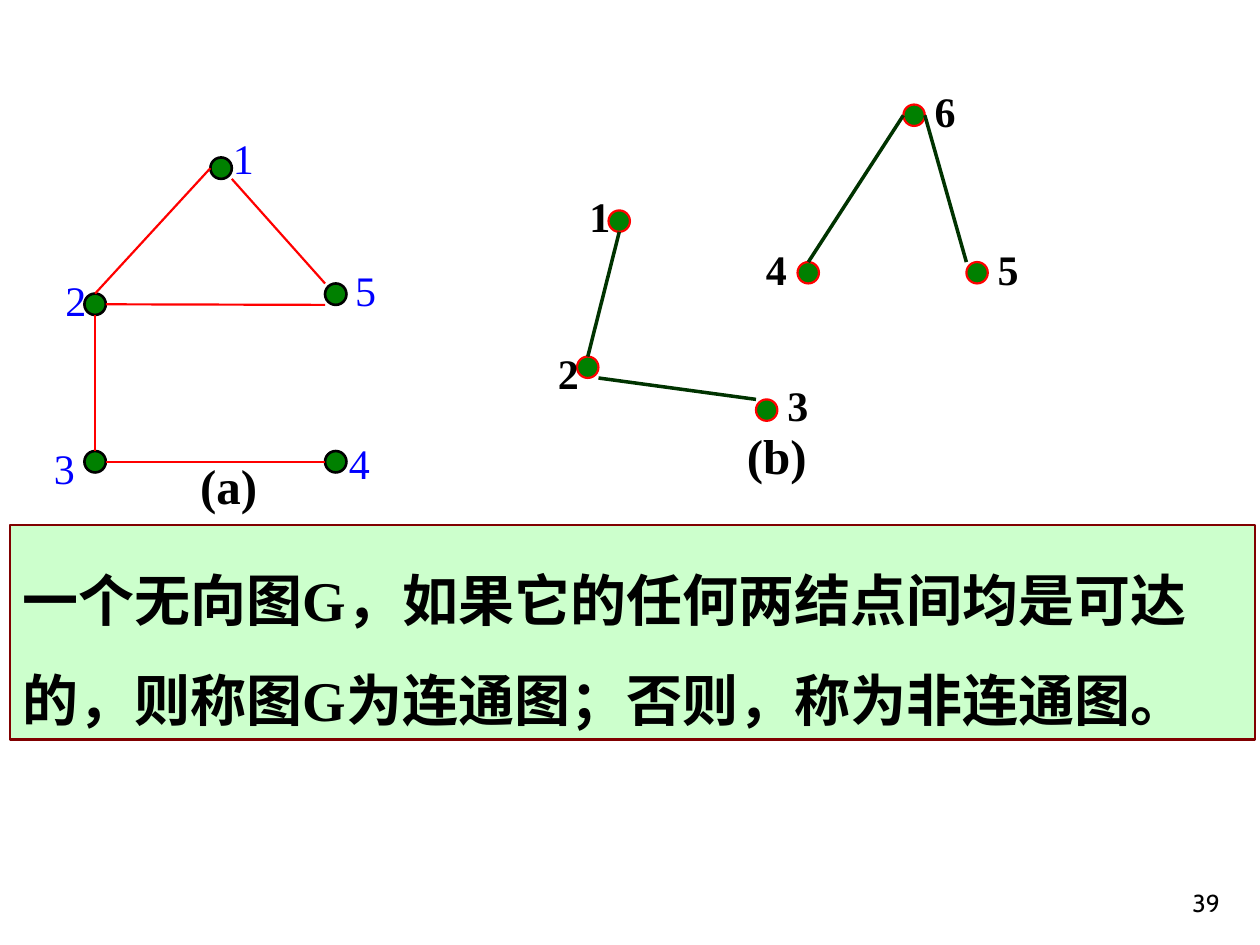
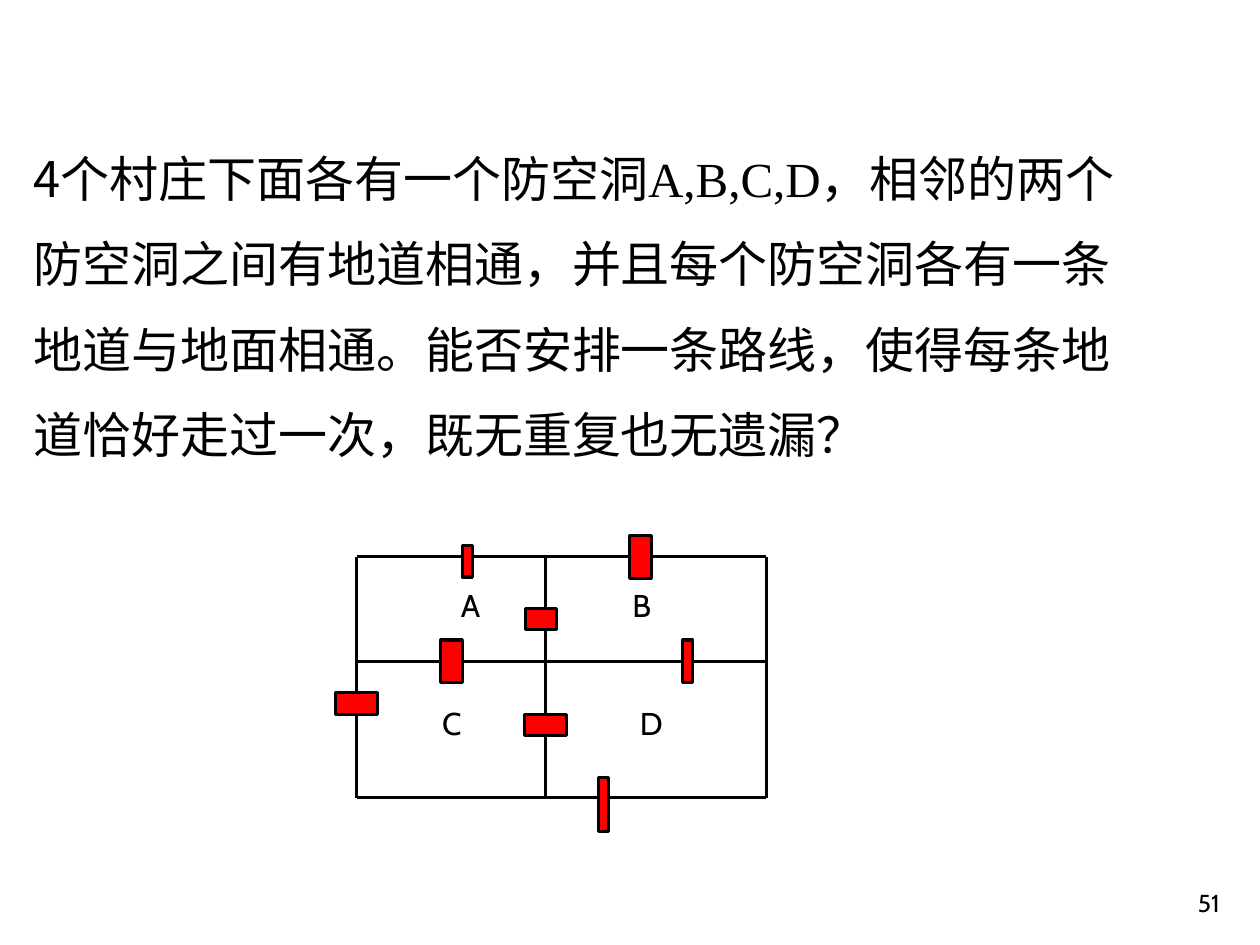
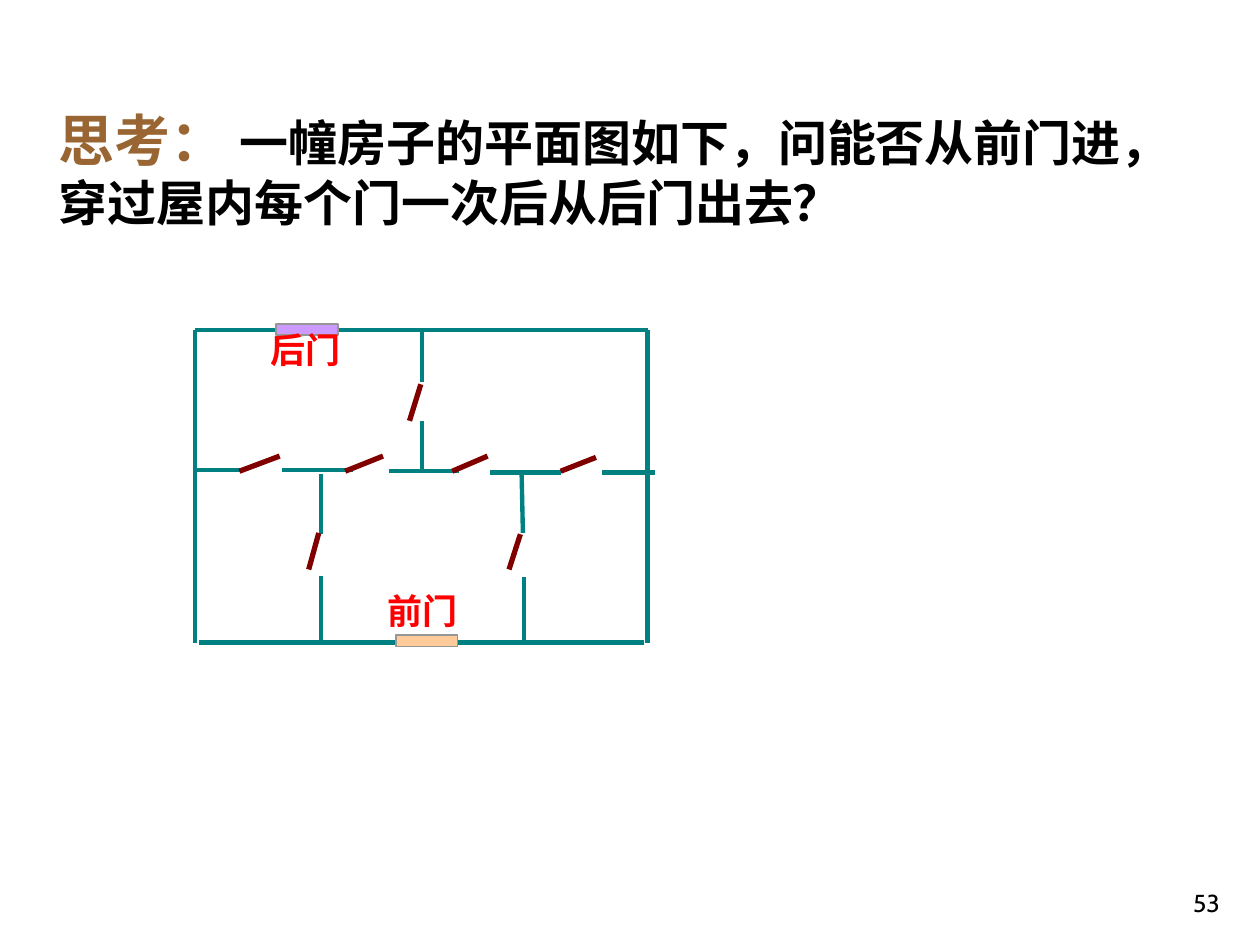
from dataclasses import dataclass

from lxml import etree
from pptx import Presentation
from pptx.dml.color import RGBColor
from pptx.enum.shapes import MSO_CONNECTOR as Connector, MSO_SHAPE as Preset
from pptx.enum.text import MSO_ANCHOR as Anchor, MSO_AUTO_SIZE as AutoSize, PP_ALIGN as Align
from pptx.oxml.ns import qn
from pptx.util import Inches, Pt


@dataclass(frozen=True)
class Theme:
    black: str = "000000"
    red: str = "FF0000"
    blue: str = "0000FF"
    green: str = "008000"
    dark_green: str = "003300"
    pale_green: str = "CCFFCC"
    maroon: str = "800000"
    teal: str = "008080"
    brown: str = "996633"
    gray: str = "969696"
    peach: str = "FFCC99"
    lilac: str = "CC99FF"
    chinese: str = "Noto Sans CJK SC"
    serif: str = "Times New Roman"
    sans: str = "Cabin"
    headline: int = 32
    body: int = 28
    node: int = 24
    door: int = 20
    room: int = 18
    footer: int = 14


THEME = Theme()


@dataclass(frozen=True)
class Style:
    size: int
    font: str
    color: str = THEME.black
    bold: bool = False


@dataclass(frozen=True)
class Box:
    left: float
    top: float
    width: float
    height: float

    def inner(self, left, top, width, height):
        return Box(self.left + left, self.top + top, width, height)

    def point(self, x, y):
        return self.left + x, self.top + y

    def lengths(self):
        return [Inches(value) for value in (self.left, self.top, self.width, self.height)]


@dataclass(frozen=True)
class GraphLook:
    outline: str
    outline_width: float
    edge: str
    edge_width: float
    label: Style


NODE_SIZE = 0.17
ANCHORS = {
    "top": (0.5, 0), "left": (0, 0.5), "bottom": (0.5, 1), "right": (1, 0.5),
    "top left": (0, 0), "bottom left": (0, 1), "bottom right": (1, 1),
}
SIDES = ["top", "left", "bottom", "right"]


def write(shape, paragraphs, wrap=True, spacing=None, align=Align.LEFT, anchor=Anchor.TOP, grow=True):
    frame = shape.text_frame
    frame.word_wrap = wrap
    frame.auto_size = AutoSize.SHAPE_TO_FIT_TEXT if grow else AutoSize.NONE
    frame.vertical_anchor = anchor
    for index, runs in enumerate(paragraphs):
        paragraph = frame.add_paragraph() if index else frame.paragraphs[0]
        paragraph.alignment = align
        paragraph.line_spacing = spacing
        for text, style in runs:
            run = paragraph.add_run()
            run.text = text
            run.font.size = Pt(style.size)
            run.font.bold = style.bold
            run.font.color.rgb = RGBColor.from_string(style.color)
            run.font.name = style.font
            if style.font == THEME.chinese:
                properties = run.font._element
                etree.SubElement(properties, qn("a:ea")).set("typeface", style.font)


def add_text(shapes, box, paragraphs, **options):
    write(shapes.add_textbox(*box.lengths()), paragraphs, **options)


def add_label(shapes, box, text, style, **options):
    add_text(shapes, box, [[(text, style)]], **options)


def add_block(shapes, preset, box, fill, outline, width):
    shape = shapes.add_shape(preset, *box.lengths())
    shape.shadow.inherit = False
    shape.fill.solid()
    shape.fill.fore_color.rgb = RGBColor.from_string(fill)
    shape.line.color.rgb = RGBColor.from_string(outline)
    shape.line.width = Pt(width)
    return shape


def add_line(shapes, start, end, color, width):
    ends = [Inches(value) for value in (*start, *end)]
    line = shapes.add_connector(Connector.STRAIGHT, *ends)
    line.line.color.rgb = RGBColor.from_string(color)
    line.line.width = Pt(width)
    etree.SubElement(line._element.spPr, qn("a:effectLst"))
    return line


def join_at_sides(line, shape):
    for site, side in enumerate(SIDES):
        across, down = ANCHORS[side]
        x, y = shape.left + across * shape.width, shape.top + down * shape.height
        for end_x, end_y, connect in (
            (line.begin_x, line.begin_y, line.begin_connect),
            (line.end_x, line.end_y, line.end_connect),
        ):
            if max(abs(end_x - x), abs(end_y - y)) < Inches(0.01):
                connect(shape, site)


def add_page_number(slide, number):
    add_label(slide.shapes, Box(7.7, 6.83, 2.08, 0.5), str(number), Style(THEME.footer, THEME.sans),
              align=Align.RIGHT, anchor=Anchor.BOTTOM, grow=False)


def draw_graph(shapes, box, look, nodes, edges, caption, caption_at):
    spots = {}
    for name, (node_at, label_at) in nodes.items():
        spots[name] = box.inner(*node_at, NODE_SIZE, NODE_SIZE)
        add_block(shapes, Preset.OVAL, spots[name], THEME.green, look.outline, look.outline_width)
        add_label(shapes, box.inner(*label_at, 0.37, 0.5), name, look.label, wrap=False)
    for *pair, start_side, end_side in edges:
        start, end = [
            spots[name].point(*[NODE_SIZE * share for share in ANCHORS[side]])
            for name, side in zip(pair, (start_side, end_side))
        ]
        add_line(shapes, start, end, look.edge, look.edge_width)
    add_label(shapes, box.inner(*caption_at, 0.7, 0.57), caption,
              Style(THEME.body, THEME.serif, bold=True), wrap=False)


def draw_definition(shapes, box):
    chinese = Style(THEME.headline, THEME.chinese, bold=True)
    letter = Style(THEME.headline, THEME.serif, bold=True)
    panel = add_block(shapes, Preset.RECTANGLE, box, THEME.pale_green, THEME.maroon, 1.25)
    write(panel, [
        [("一个无向图", chinese), ("G", letter), ("，如果它的任何两结点间均是可达", chinese)],
        [("的，则称图", chinese), ("G", letter), ("为连通图；否则，称为非连通图。", chinese)],
    ], wrap=False, spacing=1.5)


def build_connectivity_slide(slide):
    draw_definition(slide.shapes, Box(0.08, 4.17, 9.88, 1.7))
    draw_graph(
        slide.shapes, Box(0.33, 1, 2.7, 3.14),
        GraphLook(THEME.black, 1.5, THEME.red, 1.25, Style(THEME.node, THEME.serif, THEME.blue)),
        {
            "1": ((1.34, 0.25), (1.42, 0)),
            "2": ((0.34, 1.33), (0.09, 1.13)),
            "3": ((0.34, 2.58), (0, 2.46)),
            "4": ((2.25, 2.58), (2.34, 2.42)),
            "5": ((2.25, 1.25), (2.39, 1.05)),
        },
        [
            ("1", "2", "left", "top"),
            ("2", "5", "right", "bottom left"),
            ("2", "3", "bottom", "top"),
            ("3", "4", "right", "left"),
            ("1", "5", "bottom right", "top left"),
        ],
        "(a)", (1.16, 2.57),
    )
    draw_graph(
        slide.shapes, Box(4.33, 0.63, 3.85, 3.27),
        GraphLook(THEME.red, 1.25, THEME.dark_green, 2, Style(THEME.node, THEME.serif, bold=True)),
        {
            "1": ((0.5, 1.04), (0.25, 0.83)),
            "2": ((0.25, 2.2), (0, 2.08)),
            "3": ((1.67, 2.54), (1.82, 2.33)),
            "4": ((2, 1.45), (1.65, 1.25)),
            "5": ((3.34, 1.45), (3.49, 1.25)),
            "6": ((2.84, 0.2), (2.99, 0)),
        },
        [
            ("2", "1", "top", "bottom"),
            ("2", "3", "bottom right", "top left"),
            ("4", "6", "top", "left"),
            ("6", "5", "right", "top left"),
        ],
        "(b)", (1.5, 2.7),
    )


def draw_shelters(shapes, box):
    right, bottom = box.width, box.height
    middle_x, middle_y = 1.5, 0.83
    walls = [
        ((0, 0), (0.84, 0)), ((0.92, 0), (2.17, 0)), ((2.34, 0), (right, 0)),
        ((0, 0), (0, 1.08)), ((0, 1.25), (0, bottom)),
        ((0, bottom), (right, bottom)), ((right, 0), (right, bottom)),
        ((middle_x, 0), (middle_x, 0.41)), ((middle_x, 0.58), (middle_x, 1.25)),
        ((middle_x, 1.42), (middle_x, bottom)),
        ((0, middle_y), (0.67, middle_y)), ((0.84, middle_y), (2.59, middle_y)),
        ((2.67, middle_y), (right, middle_y)),
    ]
    tunnels = [
        (0.84, -0.09, 0.08, 0.25), (2.17, -0.17, 0.17, 0.34),
        (0.67, 0.66, 0.17, 0.34), (1.34, 0.41, 0.25, 0.17),
        (2.59, 0.66, 0.08, 0.34), (1.92, 1.75, 0.08, 0.43),
        (-0.17, 1.08, 0.34, 0.17), (1.33, 1.25, 0.34, 0.17),
    ]
    rooms = {"A": (0.73, 0.18), "B": (2.09, 0.18), "C": (0.58, 1.12), "D": (2.15, 1.12)}
    lines = [add_line(shapes, box.point(*start), box.point(*end), THEME.black, 1.75)
             for start, end in walls]
    for tunnel in tunnels:
        gate = add_block(shapes, Preset.RECTANGLE, box.inner(*tunnel), THEME.red, THEME.black, 1.75)
        for line in lines:
            join_at_sides(line, gate)
    for name, place in rooms.items():
        add_label(shapes, box.inner(*place, 0.38, 0.4), name, Style(THEME.room, THEME.sans), wrap=False)


def build_shelter_slide(slide):
    chinese = Style(THEME.body, THEME.chinese)
    add_text(slide.shapes, Box(0.17, 0.92, 9.42, 2.81), [
        [("4个村庄下面各有一个防空洞", chinese), ("A,B,C,D", Style(THEME.body, THEME.serif)),
         ("，相邻的两个", chinese)],
        [("防空洞之间有地道相通，并且每个防空洞各有一条", chinese)],
        [("地道与地面相通。能否安排一条路线，使得每条地", chinese)],
        [("道恰好走过一次，既无重复也无遗漏？", chinese)],
    ], spacing=1.45)
    draw_shelters(slide.shapes, Box(2.83, 4.42, 3.25, 1.91))


def draw_house(shapes, box):
    right, bottom = box.width, box.height
    walls = [
        ((0, 0), (right, 0)), ((right, 0), (right, bottom)), ((0, 0), (0, bottom)),
        ((0.03, bottom), (right - 0.03, bottom)),
        ((1.8, 0), (1.8, 0.41)), ((1.8, 0.72), (1.8, 1.13)),
        ((0.01, 1.11), (0.36, 1.11)), ((0.69, 1.11), (1.25, 1.11)),
        ((1.54, 1.12), (2.09, 1.12)), ((2.34, 1.13), (2.9, 1.13)), ((3.23, 1.13), (3.65, 1.13)),
        ((1, 1.14), (1, 1.62)), ((1, 1.95), (1, 2.47)),
        ((2.59, 1.14), (2.6, 1.61)), ((2.61, 1.96), (2.61, 2.46)),
    ]
    inner_doors = [
        ((0.98, 1.61), (0.9, 1.9)), ((1.79, 0.43), (1.7, 0.72)), ((2.58, 1.62), (2.49, 1.9)),
        ((0.67, 1), (0.35, 1.12)), ((1.49, 1), (1.19, 1.12)),
        ((2.32, 1), (2.04, 1.12)), ((3.18, 1.01), (2.9, 1.12)),
    ]
    outer_doors = [
        ("前门", THEME.peach, (1.59, 2.42), (1.43, 2.01)),
        ("后门", THEME.lilac, (0.64, -0.05), (0.5, -0.06)),
    ]
    for lines, color, width in ((walls, THEME.teal, 2.5), (inner_doors, THEME.maroon, 3)):
        for start, end in lines:
            add_line(shapes, box.point(*start), box.point(*end), color, width)
    for name, fill, door_at, label_at in outer_doors:
        add_block(shapes, Preset.RECTANGLE, box.inner(*door_at, 0.49, 0.09), fill, THEME.gray, 1)
        add_label(shapes, box.inner(*label_at, 0.78, 0.44), name,
                  Style(THEME.door, THEME.chinese, THEME.red, True))


def build_house_slide(slide):
    add_text(slide.shapes, Box(0.37, 0.79, 9.2, 1.1), [[
        ("思考： ", Style(THEME.headline, THEME.chinese, THEME.brown, True)),
        ("一幢房子的平面图如下，问能否从前门进，穿过屋内每个门一次后从后门出去？",
         Style(THEME.body, THEME.chinese, bold=True)),
    ]])
    draw_house(slide.shapes.add_group_shape().shapes, Box(1.55, 2.62, 3.59, 2.48))


def main():
    presentation = Presentation()
    presentation.slide_width, presentation.slide_height = Inches(10), Inches(7.5)
    pages = {39: build_connectivity_slide, 51: build_shelter_slide, 53: build_house_slide}
    for number, build in pages.items():
        slide = presentation.slides.add_slide(presentation.slide_layouts[6])
        build(slide)
        add_page_number(slide, number)
    presentation.save("out.pptx")


if __name__ == "__main__":
    main()
